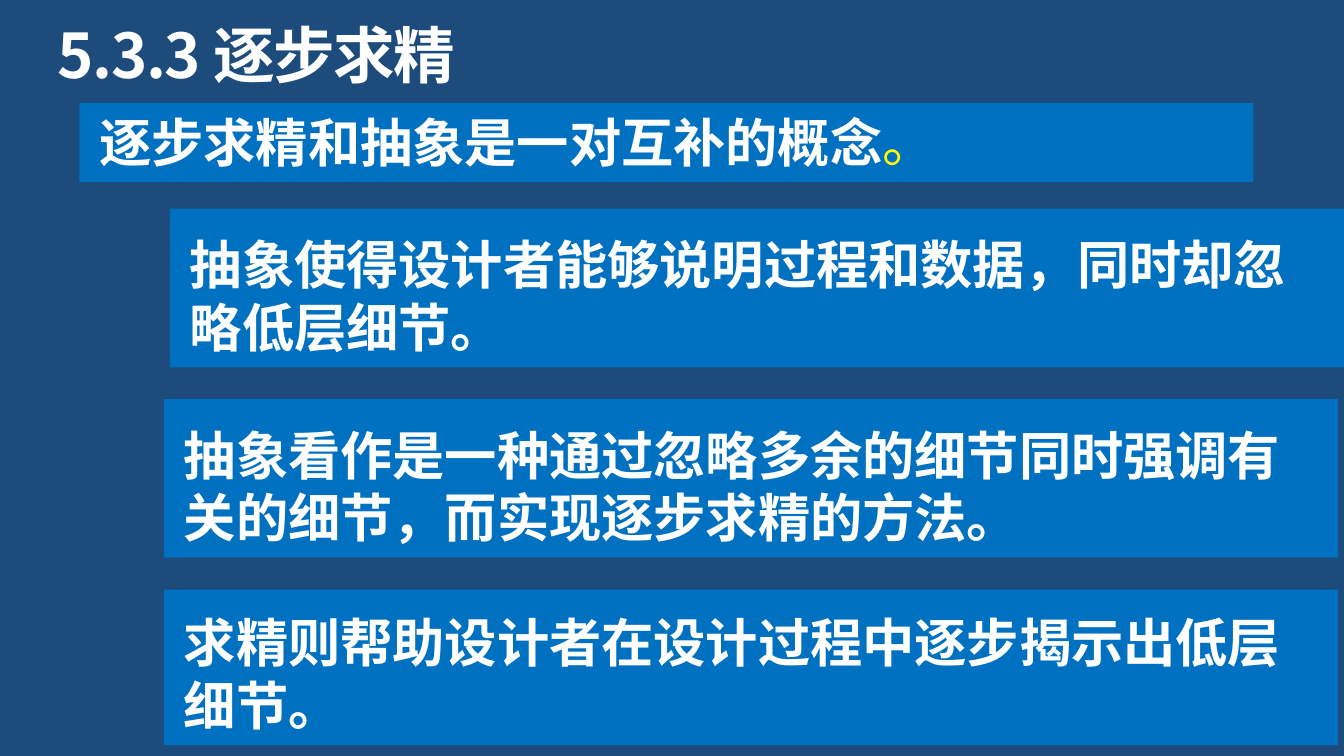
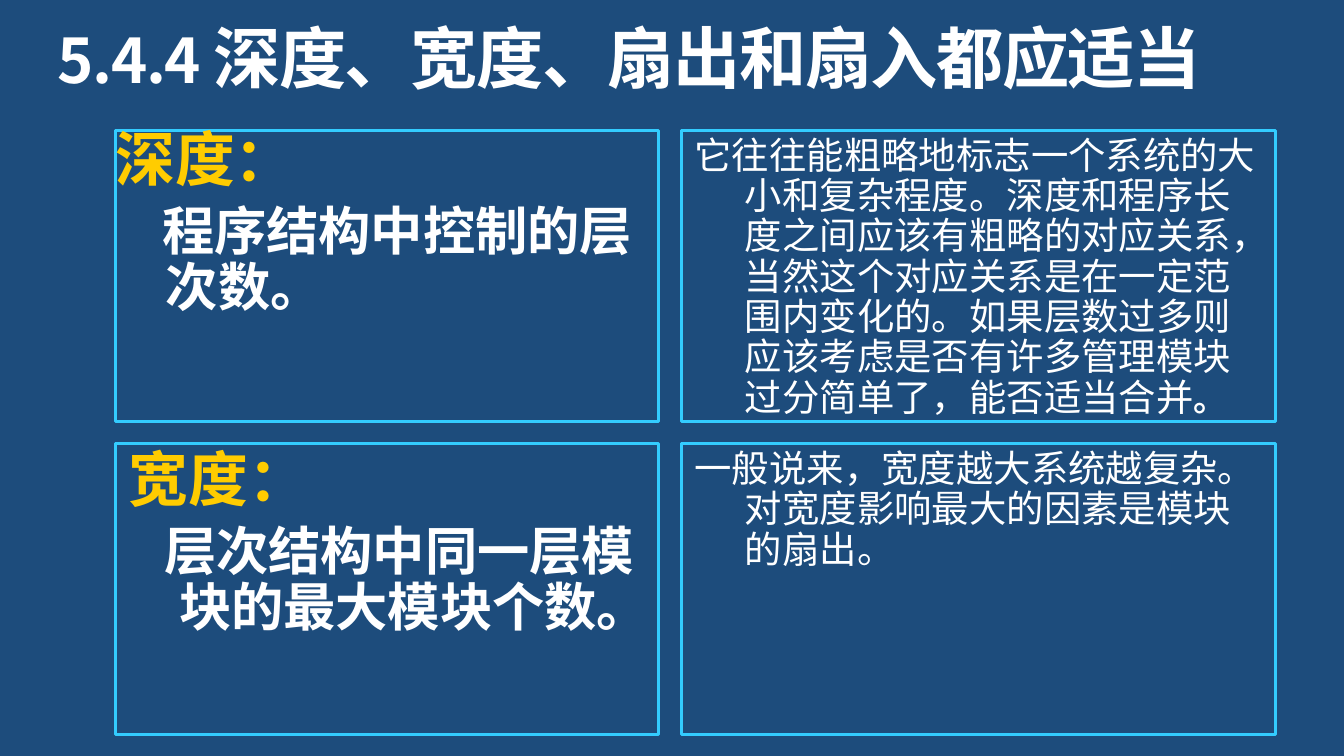
"""Build two slides on stepwise refinement and on program structure."""
import pptx
import pptx.util
import pptx.dml.color
import pptx.enum.shapes
import pptx.enum.text
import lxml.etree

Pt = pptx.util.Pt
RGBColor = pptx.dml.color.RGBColor
ANCHOR = pptx.enum.text.MSO_ANCHOR
NAVY = RGBColor(0x1D, 0x4C, 0x7C)
BLUE = RGBColor(0x00, 0x70, 0xC0)
CYAN = RGBColor(0x33, 0xCC, 0xFF)
WHITE = RGBColor(0xFF, 0xFF, 0xFF)
YELLOW = RGBColor(0xFF, 0xFF, 0x00)
GOLD = RGBColor(0xFF, 0xCC, 0x00)
SANS = "Noto Sans CJK SC"
BODY = "Roboto"
EA = "{http://schemas.openxmlformats.org/drawingml/2006/main}ea"


def write(para, runs, space=1.0, left=0, first=0, track=None):
    """Fill a paragraph with (text, size, colour, bold, face) runs."""
    para.alignment = pptx.enum.text.PP_ALIGN.LEFT
    para.line_spacing = space
    props = para._p.get_or_add_pPr()
    props.set("marL", str(Pt(left)))
    props.set("indent", str(Pt(first)))
    for text, size, color, bold, face in runs:
        run = para.add_run()
        run.text = text
        font = para.font if len(runs) == 1 else run.font
        font.size, font.bold, font.name = Pt(size), bold, face
        font.color.rgb = color
        lxml.etree.SubElement(font._rPr, EA).set("typeface", SANS)
        if track:
            font._rPr.set("spc", str(track))


def panel(slide, area, fill=None, line=None, anchor=ANCHOR.TOP, inset=(7.2, 3.6, 7.2, 3.6)):
    """Add a rectangle and return its text frame."""
    box = slide.shapes.add_shape(
        pptx.enum.shapes.MSO_SHAPE.RECTANGLE, *[Pt(n) for n in area])
    box.shadow.inherit = False
    if fill:
        box.fill.solid()
        box.fill.fore_color.rgb = fill
    else:
        box.fill.background()
    if line:
        box.line.color.rgb = line
        box.line.width = Pt(1.5)
    else:
        box.line.fill.background()
    frame = box.text_frame
    frame.word_wrap = True
    frame.vertical_anchor = anchor
    frame.margin_left, frame.margin_top, frame.margin_right, frame.margin_bottom = [
        Pt(n) for n in inset]
    return frame


deck = pptx.Presentation()
deck.slide_width, deck.slide_height = Pt(720), Pt(405)

titles = [
    [("5.3.3 逐步求精", 33, WHITE, True, SANS)],
    [("5.4.4 ", 33, WHITE, True, SANS),
     ("深度、宽度、扇出和扇入都应适当", 36, WHITE, True, SANS)],
]
pages = []
for runs in titles:
    slide = deck.slides.add_slide(deck.slide_layouts[6])
    slide.background.fill.solid()
    slide.background.fill.fore_color.rgb = NAVY
    frame = slide.shapes.add_textbox(Pt(31), Pt(13.7), Pt(659), Pt(38)).text_frame
    frame.word_wrap = True
    frame.margin_left = frame.margin_top = frame.margin_right = frame.margin_bottom = 0
    write(frame.paragraphs[0], runs, 0.9, track=-80)
    pages.append(slide)

points = [
    (42.5, 55.2, 42.2, 1.15, 0, [("逐步求精和抽象是一对互补的概念", 28, WHITE, True, SANS),
                                 ("。", 28, YELLOW, False, SANS)]),
    (91, 111.8, 85, 1, -0.7,
     [("抽象使得设计者能够说明过程和数据，同时却忽略低层细节。", 28, WHITE, True, SANS)]),
    (87.8, 213.8, 85, 1, -0.7,
     [("抽象看作是一种通过忽略多余的细节同时强调有关的细节，而实现逐步求精的方法。", 28, WHITE, True, SANS)]),
    (87.8, 315.9, 83.4, 1, -0.7,
     [("求精则帮助设计者在设计过程中逐步揭示出低层细节。", 28, WHITE, True, SANS)]),
]
for left, top, high, space, first, runs in points:
    frame = panel(pages[0], (left, top, 629, high), BLUE, None, ANCHOR.BOTTOM, (10.8, 5, 5, 5))
    write(frame.paragraphs[0], runs, space, 0, first)

HANG = 27
rows = [
    ("深度：", "程序结构中控制的层次数。", -2, (0, 0, 0, 0),
     [("它往往能粗略地标志一个系统的大小和复杂程度。深度和程序长度之间应该有粗略的对应关系，"
       "当然这个对应关系是在一定范围内变化的。如果层数过多则应该考虑是否有许多管理模块过分简单了，"
       "能否适当合并", 20, WHITE, False, BODY),
      ("。", 18, WHITE, True, SANS)]),
    ("宽度：", "层次结构中同一层模块的最大模块个数。", -8, (7.2, 3.6, 7.2, 3.6),
     [("一般说来，宽度越大系统越复杂。对宽度影响最大的因素是模块的扇出。", 20, WHITE, False, BODY)]),
]
for i, (term, sense, first, inset, note) in enumerate(rows):
    top = 69.8 + i * 167.8
    frame = panel(pages[1], (61.9, top, 291, 156), line=CYAN, inset=inset)
    write(frame.paragraphs[0], [(term, 32, GOLD, True, SANS)], 0.9, HANG, -HANG)
    para = frame.add_paragraph()
    para.space_before = Pt(5.6)
    write(para, [(sense, 28, WHITE, True, SANS)], 0.9, HANG, first)
    frame = panel(pages[1], (365, top, 318.5, 156), line=CYAN)
    write(frame.paragraphs[0], note, 0.9, HANG, -HANG)

deck.save("out.pptx")
